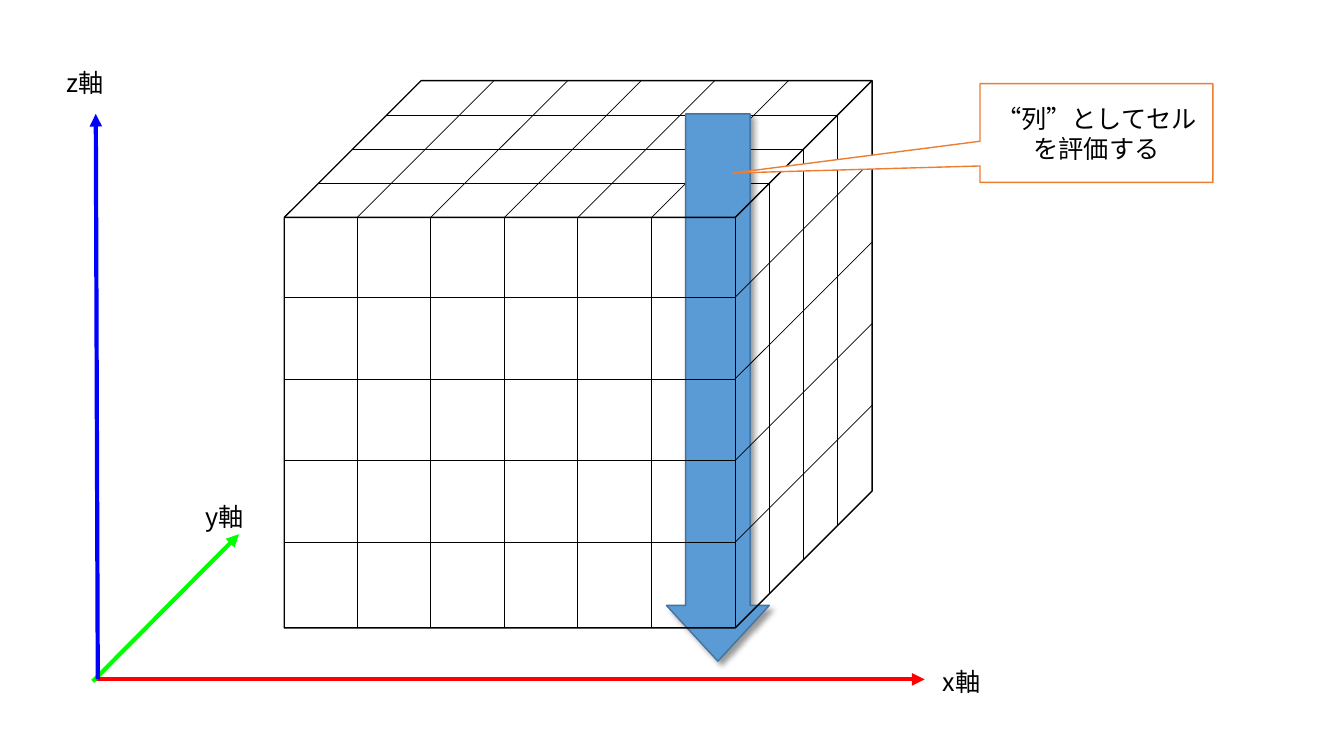
from dataclasses import dataclass

from lxml import etree
from pptx import Presentation
from pptx.dml.color import RGBColor
from pptx.enum.shapes import MSO_CONNECTOR, MSO_SHAPE
from pptx.enum.text import MSO_ANCHOR, MSO_AUTO_SIZE, PP_ALIGN
from pptx.oxml.ns import qn
from pptx.shapes.autoshape import Shape
from pptx.shapes.shapetree import SlideShapes
from pptx.text.text import TextFrame
from pptx.util import Inches, Pt

STRAIGHT = MSO_CONNECTOR.STRAIGHT
CUBE, DOWN = MSO_SHAPE.CUBE, MSO_SHAPE.DOWN_ARROW
CALLOUT = MSO_SHAPE.RECTANGULAR_CALLOUT
MIDDLE, CENTER = MSO_ANCHOR.MIDDLE, PP_ALIGN.CENTER
GROW = MSO_AUTO_SIZE.SHAPE_TO_FIT_TEXT


@dataclass(frozen=True)
class Theme:
    font: str = "Noto Sans CJK JP"
    size: float = 18
    ink: str = "000000"
    paper: str = "FFFFFF"
    red: str = "FF0000"
    green: str = "00FF00"
    blue: str = "0000FF"
    arrow: str = "5B9BD5"
    edge: str = "43739E"
    note: str = "ED7D31"
    thin: float = 0.5
    rim: float = 1
    axis: float = 3


@dataclass(frozen=True)
class Line:
    x1: float
    y1: float
    x2: float
    y2: float
    color: str
    width: float
    tip: bool = False


@dataclass(frozen=True)
class Label:
    text: str
    x: float
    y: float


@dataclass(frozen=True)
class Block:
    kind: MSO_SHAPE
    x: float
    y: float
    w: float
    h: float
    line: str
    fill: str = ""
    adjust: tuple[float, ...] = ()


THEME = Theme()

# Front face of the cube, and how far it recedes up and right
LEFT, TOP, RIGHT, BOTTOM, DEPTH = 2.82, 2.16, 7.29, 6.23, 1.36
COLS = [3.54 + 0.73 * i for i in range(5)]
ROWS = [2.95 + 0.81 * i for i in range(4)]
LAYERS = [DEPTH * i / 4 for i in range(1, 4)]


def grid(x1: float, y1: float, x2: float, y2: float) -> Line:
    return Line(x1, y1, x2, y2, THEME.ink, THEME.thin)


BACK = (
    [grid(LEFT + d, TOP - d, RIGHT + d, TOP - d) for d in LAYERS]
    + [grid(x, TOP, x + DEPTH, TOP - DEPTH) for x in COLS]
    + [grid(x, BOTTOM, x, TOP) for x in COLS]
    + [grid(RIGHT + d, BOTTOM - d, RIGHT + d, TOP - d) for d in LAYERS]
)
FRONT = (
    [grid(LEFT, y, RIGHT, y) for y in ROWS]
    + [grid(RIGHT, y, RIGHT + DEPTH, y - DEPTH) for y in ROWS]
)
AXES = [
    Line(0.93, 6.74, 9.17, 6.74, THEME.red, THEME.axis, True),
    Line(0.92, 6.76, 2.37, 5.3, THEME.green, THEME.axis, True),
    Line(0.97, 6.74, 0.95, 1.13, THEME.blue, THEME.axis, True),
]
LABELS = [
    Label("x軸", 9.25, 6.56),
    Label("y軸", 1.94, 4.92),
    Label("z軸", 0.56, 0.62),
]
COLUMN = Block(DOWN, 6.61, 1.13, 1.02, 5.43, THEME.edge, THEME.arrow, (0.627, 0.542))
BOX = Block(CUBE, 2.82, 0.8, 5.83, 5.43, THEME.ink)
NOTE = Block(CALLOUT, 9.72, 0.83, 2.31, 0.98, THEME.note, THEME.paper, (-1.561, 0.405))


def rgb(color: str) -> RGBColor:
    return RGBColor.from_string(color)


def draw_line(shapes: SlideShapes, line: Line) -> None:
    ends = [Inches(v) for v in (line.x1, line.y1, line.x2, line.y2)]
    item = shapes.add_connector(STRAIGHT, *ends)
    item.line.color.rgb = rgb(line.color)
    item.line.width = Pt(line.width)
    if line.tip:
        etree.SubElement(item.line._get_or_add_ln(), qn("a:tailEnd"), type="triangle")
    etree.SubElement(item._element.spPr, qn("a:effectLst"))


def draw_block(shapes: SlideShapes, block: Block) -> Shape:
    place = [Inches(v) for v in (block.x, block.y, block.w, block.h)]
    item = shapes.add_shape(block.kind, *place)
    item.shadow.inherit = False
    for i, value in enumerate(block.adjust):
        item.adjustments[i] = value
    if block.fill:
        item.fill.solid()
        item.fill.fore_color.rgb = rgb(block.fill)
    else:
        item.fill.background()
    item.line.color.rgb = rgb(block.line)
    item.line.width = Pt(THEME.rim)
    return item


def cast_shadow(item: Shape) -> None:
    """Add a soft shadow down and to the right."""
    effects = item._element.spPr.find(qn("a:effectLst"))
    shade = etree.SubElement(
        effects, qn("a:outerShdw"), blurRad=str(Pt(4)), dist=str(Pt(3)),
        dir=str(45 * 60000), algn="tl", rotWithShape="0",
    )
    color = etree.SubElement(shade, qn("a:srgbClr"), val=THEME.ink)
    etree.SubElement(color, qn("a:alpha"), val="40000")


def write(frame: TextFrame, text: str) -> None:
    frame.word_wrap = True
    run = frame.paragraphs[0].add_run()
    run.text = text
    run.font.name = THEME.font
    run.font.size = Pt(THEME.size)
    run.font.color.rgb = rgb(THEME.ink)
    east = etree.SubElement(run.font._element, qn("a:ea"))
    east.set("typeface", THEME.font)


def draw_label(shapes: SlideShapes, label: Label) -> None:
    box = shapes.add_textbox(Inches(label.x), Inches(label.y), Inches(0.95), Inches(0.4))
    box.text_frame.auto_size = GROW
    write(box.text_frame, label.text)


def main() -> None:
    deck = Presentation()
    deck.slide_width, deck.slide_height = Inches(13.33), Inches(7.5)
    shapes = deck.slides.add_slide(deck.slide_layouts[6]).shapes
    for line in BACK + AXES:
        draw_line(shapes, line)
    for label in LABELS:
        draw_label(shapes, label)
    cast_shadow(draw_block(shapes, COLUMN))
    draw_block(shapes, BOX)
    for line in FRONT:
        draw_line(shapes, line)
    frame = draw_block(shapes, NOTE).text_frame
    frame.vertical_anchor = MIDDLE
    frame.paragraphs[0].alignment = CENTER
    write(frame, "“列”としてセルを評価する")
    deck.save("out.pptx")


if __name__ == "__main__":
    main()
